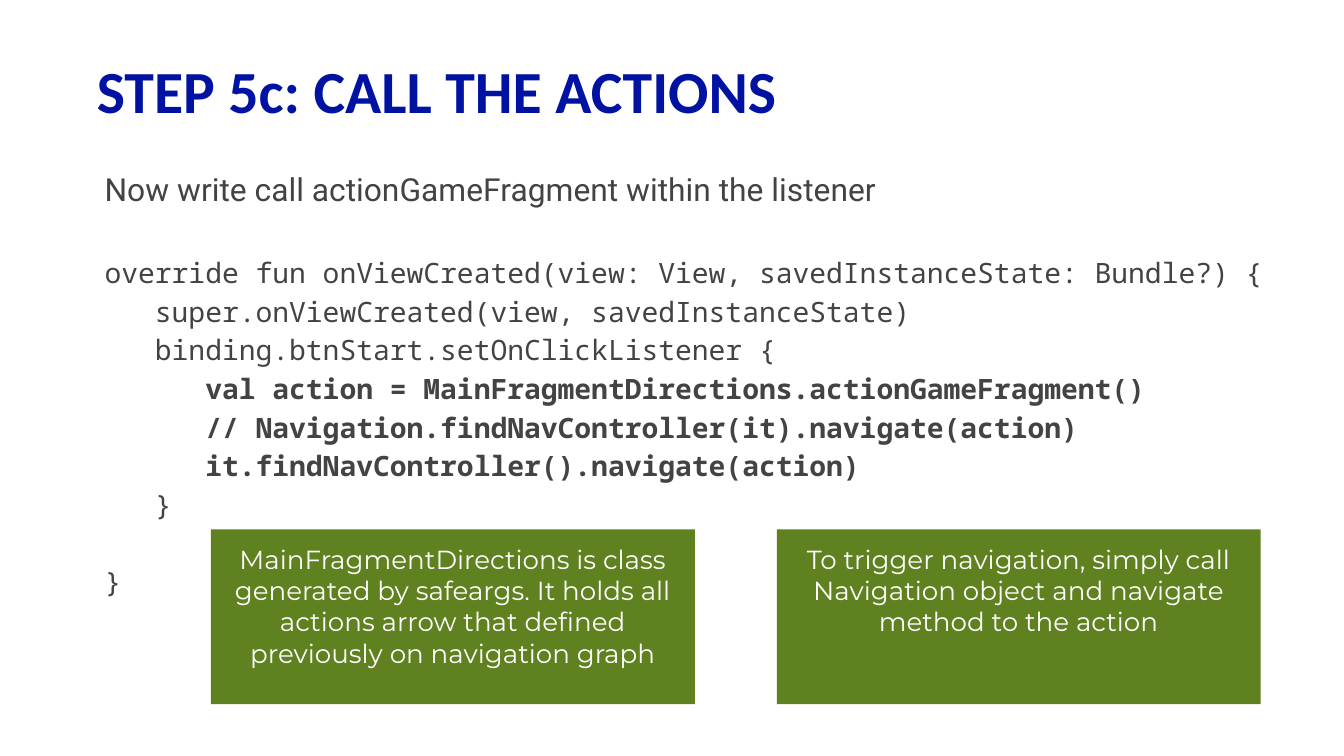
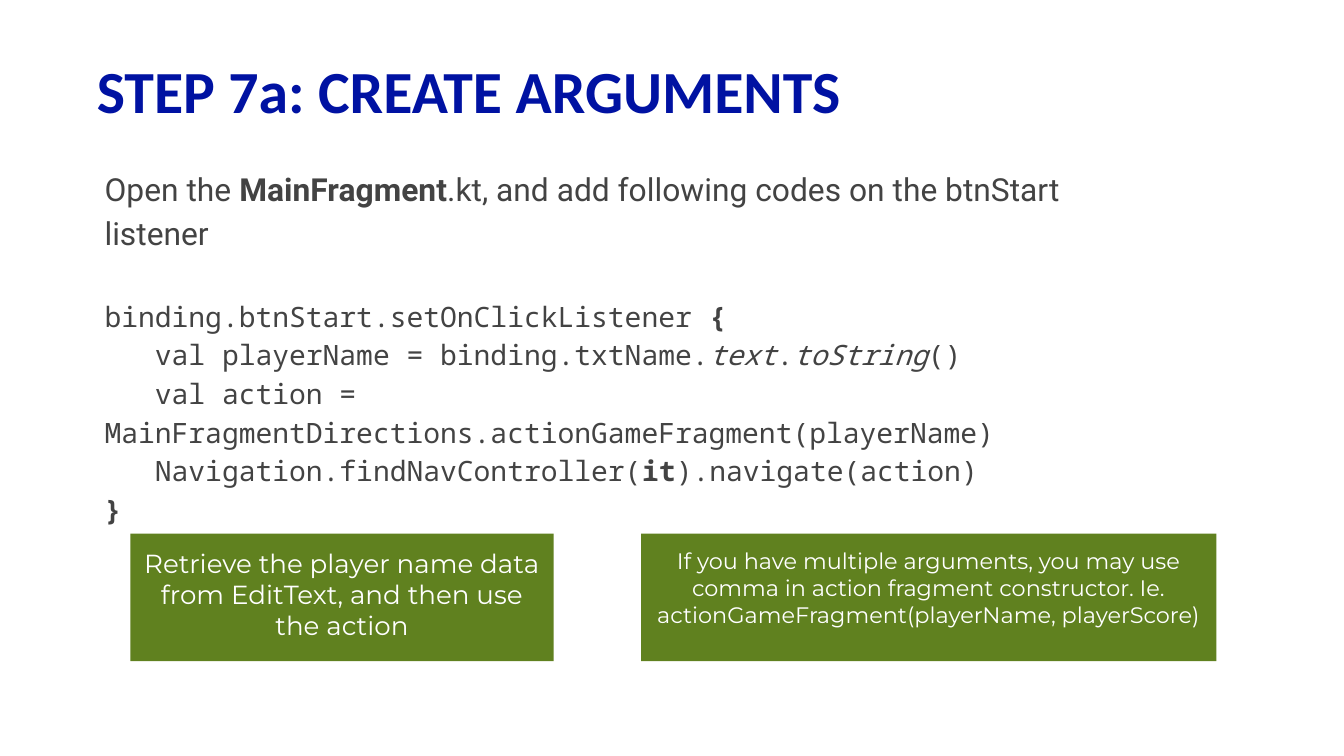
from dataclasses import dataclass
from typing import NamedTuple

from pptx import Presentation
from pptx.dml.color import RGBColor
from pptx.enum.shapes import MSO_SHAPE
from pptx.enum.text import MSO_ANCHOR, MSO_AUTO_SIZE, PP_ALIGN
from pptx.util import Inches, Pt

SLIDE_WIDTH = Inches(10)
SLIDE_HEIGHT = SLIDE_WIDTH * 9 // 16
UNIT = SLIDE_WIDTH / 100  # side of one square grid cell
INSET = Inches(0.1)

WHITE = RGBColor(0xFF, 0xFF, 0xFF)
NAVY = RGBColor(0x00, 0x12, 0xA2)
GRAY = RGBColor(0x43, 0x43, 0x43)
GREEN = RGBColor(0x60, 0x81, 0x1F)

TITLE_FONT, PROSE_FONT = "Calibri", "Roboto"
CODE_FONT, NOTE_FONT = "Noto Sans Mono", "Montserrat"
PROSE_SIZE, CODE_SIZE = 17, 15
LINE_SPACING = 1.15
PROSE_GAP, CODE_GAP = 23, 20.7  # height of one skipped line


class Area(NamedTuple):
    """A rectangle in grid columns and rows."""
    column: float
    row: float
    columns: float
    rows: float

    def emu(self) -> list[int]:
        return [round(value * UNIT) for value in self]


class Run(NamedTuple):
    text: str
    bold: bool = False
    italic: bool = False


Line = tuple[Run, ...]


def plain(text: str) -> Line:
    return (Run(text),)


def strong(text: str) -> Line:
    return (Run(text, bold=True),)


@dataclass(frozen=True)
class CodeBlock:
    lines: list[Line]
    gap: float


@dataclass(frozen=True)
class Note:
    text: str
    area: Area
    size: float = 14


@dataclass(frozen=True)
class Step:
    title: str
    intro: Line
    code: list[CodeBlock]
    body_columns: float
    notes: list[Note]


TITLE_AREA = Area(6.2, 4.3, 70.7, 4.7)

STEPS = [
    Step(
        title="STEP 5c: CALL THE ACTIONS",
        intro=plain("Now write call actionGameFragment within the listener"),
        code=[
            CodeBlock([
                plain("override fun onViewCreated(view: View, savedInstanceState: Bundle?) {"),
                plain("   super.onViewCreated(view, savedInstanceState)"),
                plain("   binding.btnStart.setOnClickListener {"),
                strong("      val action = MainFragmentDirections.actionGameFragment()"),
                strong("      // Navigation.findNavController(it).navigate(action)"),
                strong("      it.findNavController().navigate(action)"),
                plain("   }"),
            ], PROSE_GAP),
            CodeBlock([plain("}")], CODE_GAP),
        ],
        body_columns=91.8,
        notes=[
            Note("MainFragmentDirections is class generated by safeargs. It holds all "
                 "actions arrow that defined previously on navigation graph",
                 Area(15.7, 39.4, 36, 13)),
            Note("To trigger navigation, simply call Navigation object and navigate "
                 "method to the action", Area(57.8, 39.4, 36, 13)),
        ],
    ),
    Step(
        title="STEP 7a: CREATE ARGUMENTS",
        intro=(Run("Open the"), Run(" MainFragment", bold=True),
               Run(".kt, and add following codes on the btnStart listener")),
        code=[
            CodeBlock([
                (Run("binding.btnStart.setOnClickListener "), Run("{", bold=True)),
                (Run("   val playerName = binding.txtName."), Run("text", italic=True),
                 Run("."), Run("toString", italic=True), Run("()")),
                plain("   val action = MainFragmentDirections.actionGameFragment(playerName)"),
                (Run("   Navigation.findNavController("), Run("it", bold=True),
                 Run(").navigate(action)")),
                strong("}"),
            ], PROSE_GAP),
        ],
        body_columns=81.4,
        notes=[
            Note("Retrieve the player name data from EditText, and then use the action",
                 Area(9.7, 39.7, 31.5, 9.5)),
            Note("If you have multiple arguments, you may use comma in action fragment "
                 "constructor. Ie. actionGameFragment(playerName, playerScore)",
                 Area(47.7, 39.7, 42.8, 9.5), size=12),
        ],
    ),
]


def prepare_frame(frame, anchor=MSO_ANCHOR.TOP) -> None:
    frame.word_wrap = True
    frame.auto_size = MSO_AUTO_SIZE.NONE
    frame.vertical_anchor = anchor
    frame.margin_left = frame.margin_right = INSET
    frame.margin_top = frame.margin_bottom = INSET


def write(frame, lines: list[Line], *, font: str, size: float, color: RGBColor,
          align=PP_ALIGN.LEFT, spacing: float = 1.0, gap: float = 0) -> None:
    """Append lines to a frame, with a gap above the first of them."""
    for index, line in enumerate(lines):
        last = frame.paragraphs[-1]
        paragraph = frame.add_paragraph() if last.runs else last
        paragraph.alignment = align
        paragraph.line_spacing = spacing
        paragraph.space_before = Pt(0 if index else gap)
        for part in line:
            run = paragraph.add_run()
            run.text = part.text
            run.font.name = font
            run.font.size = Pt(size)
            run.font.color.rgb = color
            run.font.bold = part.bold
            run.font.italic = part.italic


def add_title(slide, text: str) -> None:
    title = slide.shapes.title
    title.left, title.top, title.width, title.height = TITLE_AREA.emu()
    prepare_frame(title.text_frame, MSO_ANCHOR.MIDDLE)
    write(title.text_frame, [strong(text)], font=TITLE_FONT, size=32, color=NAVY)


def add_body(slide, step: Step) -> None:
    area = Area(6.8, 11.2, step.body_columns, 38.6)
    frame = slide.shapes.add_textbox(*area.emu()).text_frame
    prepare_frame(frame)
    write(frame, [step.intro], font=PROSE_FONT, size=PROSE_SIZE, color=GRAY,
          spacing=LINE_SPACING)
    for block in step.code:
        write(frame, block.lines, font=CODE_FONT, size=CODE_SIZE, color=GRAY,
              spacing=LINE_SPACING, gap=block.gap)


def add_note(slide, note: Note) -> None:
    panel = slide.shapes.add_shape(MSO_SHAPE.RECTANGLE, *note.area.emu())
    panel.shadow.inherit = False
    panel.fill.solid()
    panel.fill.fore_color.rgb = GREEN
    panel.line.fill.background()
    prepare_frame(panel.text_frame)
    write(panel.text_frame, [plain(note.text)], font=NOTE_FONT, size=note.size,
          color=WHITE, align=PP_ALIGN.CENTER)


def main() -> None:
    deck = Presentation()
    deck.slide_width, deck.slide_height = SLIDE_WIDTH, SLIDE_HEIGHT
    title_only = deck.slide_layouts[5]
    for step in STEPS:
        slide = deck.slides.add_slide(title_only)
        slide.background.fill.solid()
        slide.background.fill.fore_color.rgb = WHITE
        add_title(slide, step.title)
        add_body(slide, step)
        for note in step.notes:
            add_note(slide, note)
    deck.save("out.pptx")


if __name__ == "__main__":
    main()
